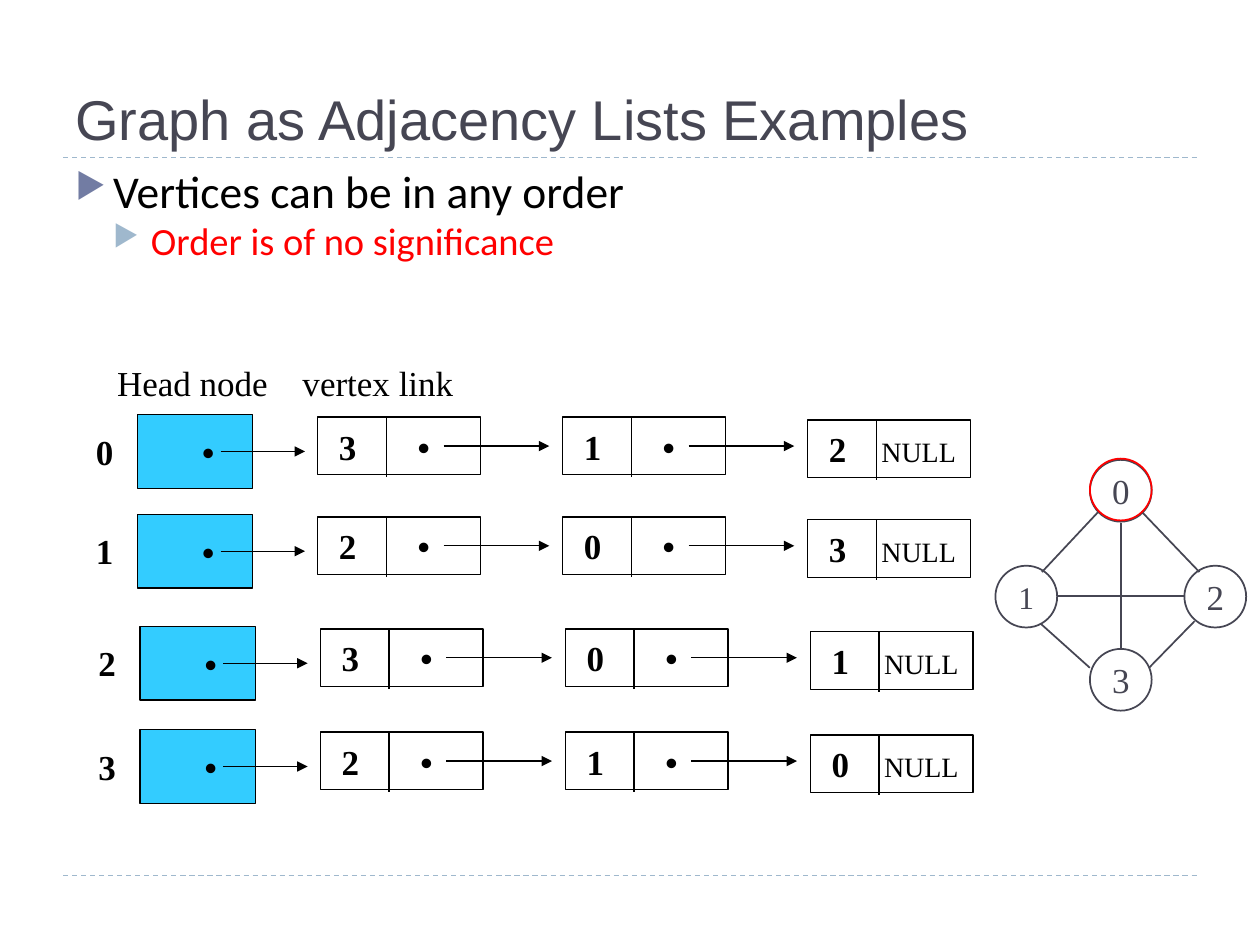
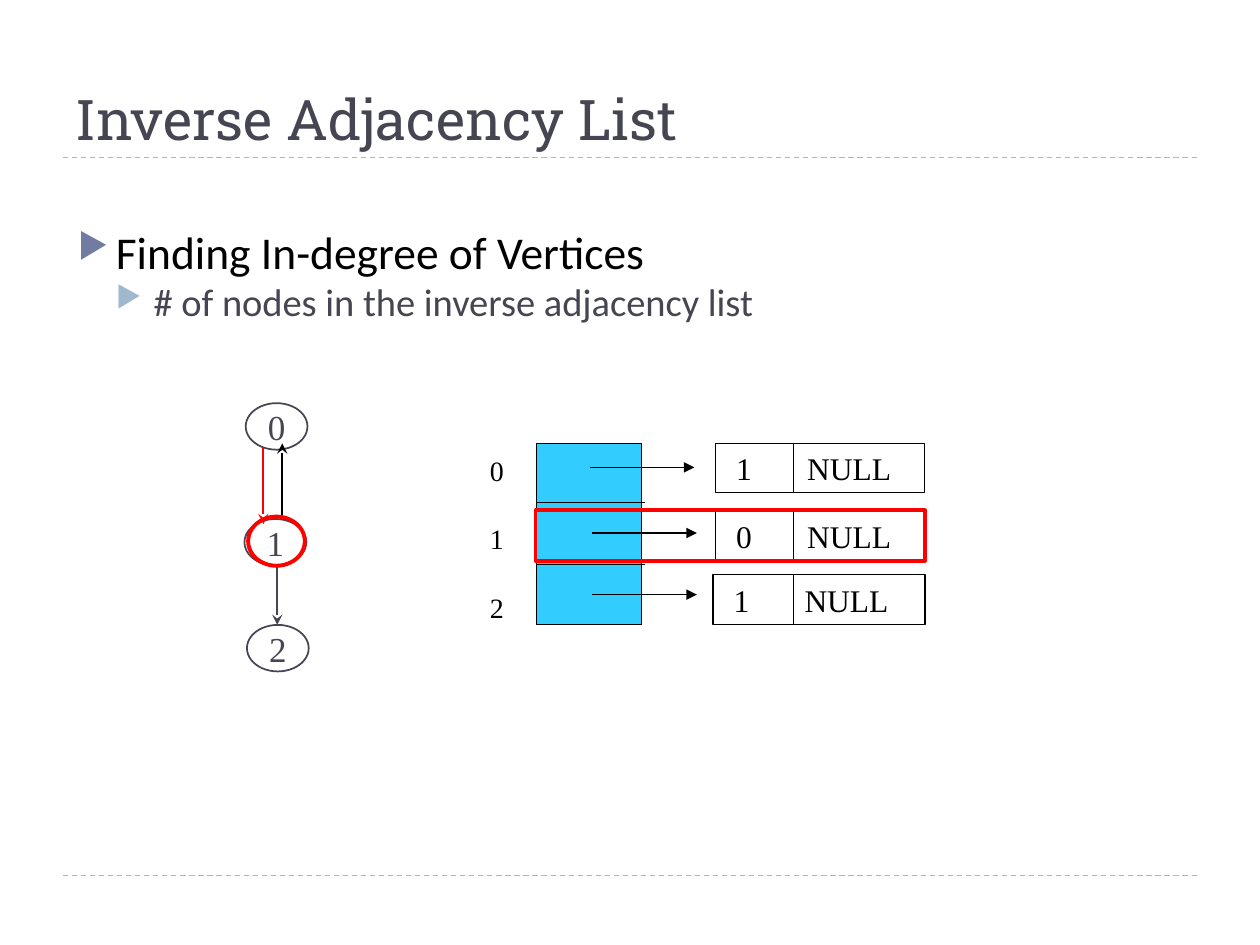
from pptx import Presentation
from pptx.dml.color import RGBColor
from pptx.enum.dml import MSO_LINE
from pptx.enum.shapes import MSO_CONNECTOR, MSO_SHAPE
from pptx.enum.text import MSO_ANCHOR, PP_ALIGN
from pptx.oxml.ns import qn
from pptx.util import Pt
from lxml.etree import SubElement

HUES = {
    "ink": "464653", "black": "000000", "white": "FFFFFF", "red": "FF0000",
    "cyan": "33CCFF", "rule": "9FB8CD", "mark": "727CA3",
}
RGB = {name: RGBColor.from_string(code) for name, code in HUES.items()}
SERIF = "Times New Roman"


def line(slide, x1, y1, x2, y2, hue="black", width=0.75, head=None):
    link = slide.shapes.add_connector(
        MSO_CONNECTOR.STRAIGHT, Pt(x1), Pt(y1), Pt(x2), Pt(y2))
    link.line.color.rgb = RGB[hue]
    link.line.width = Pt(width)
    if head:
        SubElement(link.line._get_or_add_ln(), qn("a:tailEnd"), type=head)
    SubElement(link._element.spPr, qn("a:effectLst"))
    return link


def box(slide, kind, place, runs=(), hue="black", fill=None, edge="black",
        width=0.75, inset=7.2, tab=None, align=PP_ALIGN.LEFT):
    spot = [Pt(v) for v in place]
    if kind is None:
        shape = slide.shapes.add_textbox(*spot)
    else:
        shape = slide.shapes.add_shape(kind, *spot)
        shape.shadow.inherit = False
        shape.line.color.rgb = RGB[edge]
        shape.line.width = Pt(width)
        if fill:
            shape.fill.solid()
            shape.fill.fore_color.rgb = RGB[fill]
        else:
            shape.fill.background()
    frame = shape.text_frame
    frame.word_wrap = True
    frame.vertical_anchor = MSO_ANCHOR.MIDDLE
    frame.margin_left, frame.margin_right = Pt(inset), Pt(0)
    para = frame.paragraphs[0]
    para.alignment = align
    if tab:
        stops = SubElement(para._p.get_or_add_pPr(), qn("a:tabLst"))
        SubElement(stops, qn("a:tab"), pos=str(Pt(tab)), algn="l")
    for text, size, bold in runs:
        run = para.add_run()
        run.text = text
        run.font.name = SERIF
        run.font.size = Pt(size)
        run.font.bold = bold
        run.font.color.rgb = RGB[hue]
    return shape


deck = Presentation()
deck.slide_width, deck.slide_height = Pt(720), Pt(540)

PAGES = [
    ("Graph as Adjacency Lists Examples", "Arial", 36, 95.8, 388.8,
     "Vertices can be in any order", "Order is of no significance", "red"),
    ("Inverse Adjacency List", "Roboto Slab", 37.5, 130.3, 72,
     "Finding In-degree of Vertices",
     "# of nodes in the inverse adjacency list", "ink"),
]
slides = []
for title, face, left, top, high, point, sub, hue in PAGES:
    slide = deck.slides.add_slide(deck.slide_layouts[6])
    slides.append(slide)
    for y in (500.4, 90):
        line(slide, 36, y, 684, y, "rule").line.dash_style = MSO_LINE.DASH

    frame = slide.shapes.add_textbox(
        Pt(36), Pt(12.2), Pt(648), Pt(77.8)).text_frame
    frame.word_wrap = True
    frame.vertical_anchor = MSO_ANCHOR.BOTTOM
    run = frame.paragraphs[0].add_run()
    run.text = title
    run.font.name = face
    run.font.size = Pt(32)
    run.font.color.rgb = RGB["ink"]

    frame = slide.shapes.add_textbox(
        Pt(left), Pt(top), Pt(648), Pt(high)).text_frame
    frame.word_wrap = True
    levels = [(point, 26, "black", "mark"), (sub, 22, hue, "rule")]
    for step, (text, size, tint, mark) in enumerate(levels):
        para = frame.add_paragraph() if step else frame.paragraphs[0]
        para.level = step
        para.line_spacing = 0.8
        para.space_before = Pt(5 * step)
        props = para._p.get_or_add_pPr()
        props.set("marL", str(Pt(21.6 * (step + 1))))
        props.set("indent", str(Pt(-21.6)))
        tone = SubElement(props, qn("a:buClr"))
        SubElement(tone, qn("a:srgbClr"), val=HUES[mark])
        SubElement(props, qn("a:buSzPct"), val="76000")
        SubElement(props, qn("a:buChar"), char="▶")
        run = para.add_run()
        run.text = text
        run.font.name = "Calibri"
        run.font.size = Pt(size)
        run.font.color.rgb = RGB[tint]

lists, inverse = slides

ROWS = [(78.5, 237, "312"), (78.5, 294, "203"),
        (80, 358, "301"), (80, 417, "210")]
for row, (x, y, items) in enumerate(ROWS):
    box(lists, MSO_SHAPE.RECTANGLE, (x, y, 66, 42), [("•", 20, True)],
        fill="cyan", inset=37)
    line(lists, x + 47.5, y + 21, x + 95.8, y + 21, head="triangle")
    for col, item in enumerate(items):
        last = col == 2
        left = x + 103 + 140 * col
        top = y + (3 if last else 1.4)
        end = ("NULL", 16, False) if last else ("•", 20, True)
        box(lists, MSO_SHAPE.RECTANGLE, (left, top, 93, 33),
            [(item + "\t", 20, True), end], inset=12.2,
            tab=30 if last else 45)
        line(lists, left + 39.3, top, left + 39.3, top + 34.4)
        if not last:
            line(lists, left + 72, top + 16.5, left + 132.4, top + 16.5,
                 head="triangle")
    box(lists, None, (x - 31, y + 5, 24.5, 31.7), [(str(row), 20, True)],
        align=PP_ALIGN.CENTER).text_frame.margin_right = Pt(7.2)

box(lists, None, (59.8, 203, 235.4, 31.7),
    [("Head node\tvertex link", 20, False)], tab=106)

DOTS = [(622.8, 262.8, 20), (568.8, 323.3, 18),
        (676.8, 323.3, 20), (622.8, 370.8, 20)]
for name, (x, y, size) in enumerate(DOTS):
    box(lists, MSO_SHAPE.OVAL, (x, y, 35.3, 35.3),
        [(str(name), size, False)], "ink", "white", "ink", 1, 0,
        align=PP_ALIGN.CENTER)
EDGES = [(640.8, 298.8, 640.8, 370.8), (604.8, 340.6, 676.8, 340.6),
         (627.8, 292.3, 595.4, 326.9), (652.3, 292.3, 685.4, 326.9),
         (594.7, 356.4, 622.8, 381.6), (682.6, 355, 656.6, 381.6)]
for ends in EDGES:
    line(lists, *ends, "ink", 1)
box(lists, MSO_SHAPE.OVAL, (622.8, 262.1, 35.3, 35.3), edge="red", width=1)

box(inverse, MSO_SHAPE.RECTANGLE, (306.7, 253.4, 59.8, 103.7), fill="cyan")
for y in (287.3, 322.6):
    line(inverse, 306.7, y, 368.6, y)
for x, y in ((337, 267.1), (338.4, 304.6), (338.4, 339.8)):
    line(inverse, x, y, x + 59.8, y, head="triangle")

frame = box(inverse, None, (272.9, 255.6, 22.3, 104.4),
            [("0", 16, False)]).text_frame
for name in "12":
    para = frame.add_paragraph()
    para.space_before = Pt(20)
    run = para.add_run()
    run.text = name
    run.font.name = SERIF
    run.font.size = Pt(16)
    run.font.color.rgb = RGB["black"]

for item, x, y in (("1", 409, 253.4), ("0", 409, 292.3), ("1", 407.5, 328.5)):
    box(inverse, MSO_SHAPE.RECTANGLE, (x, y, 528.5 - x, 28.3),
        [(item + "\tNULL", 18, False)], inset=11.7, tab=40.5)
    line(inverse, 453.6, y, 453.6, y + 28.3)

for name, (x, y) in enumerate([(140.4, 230.4), (139.7, 296.6), (141.1, 357.1)]):
    box(inverse, MSO_SHAPE.OVAL, (x, y, 35.3, 26.6), [(str(name), 20, False)],
        "ink", "white", "ink", 1, 0, align=PP_ALIGN.CENTER)
line(inverse, 158.4, 323.3, 158.4, 357.1, "ink", 1, "stealth")
line(inverse, 161.3, 296.6, 161.3, 253.4, "black", 1, "stealth")
line(inverse, 150.5, 255.6, 150.5, 299.5, "red", 1, "stealth")
box(inverse, MSO_SHAPE.RECTANGLE, (306, 291.6, 222.5, 28.8),
    edge="red", width=2.25)
box(inverse, MSO_SHAPE.OVAL, (141.8, 295.2, 32.4, 28.1),
    edge="red", width=2.25)

deck.save("out.pptx")
